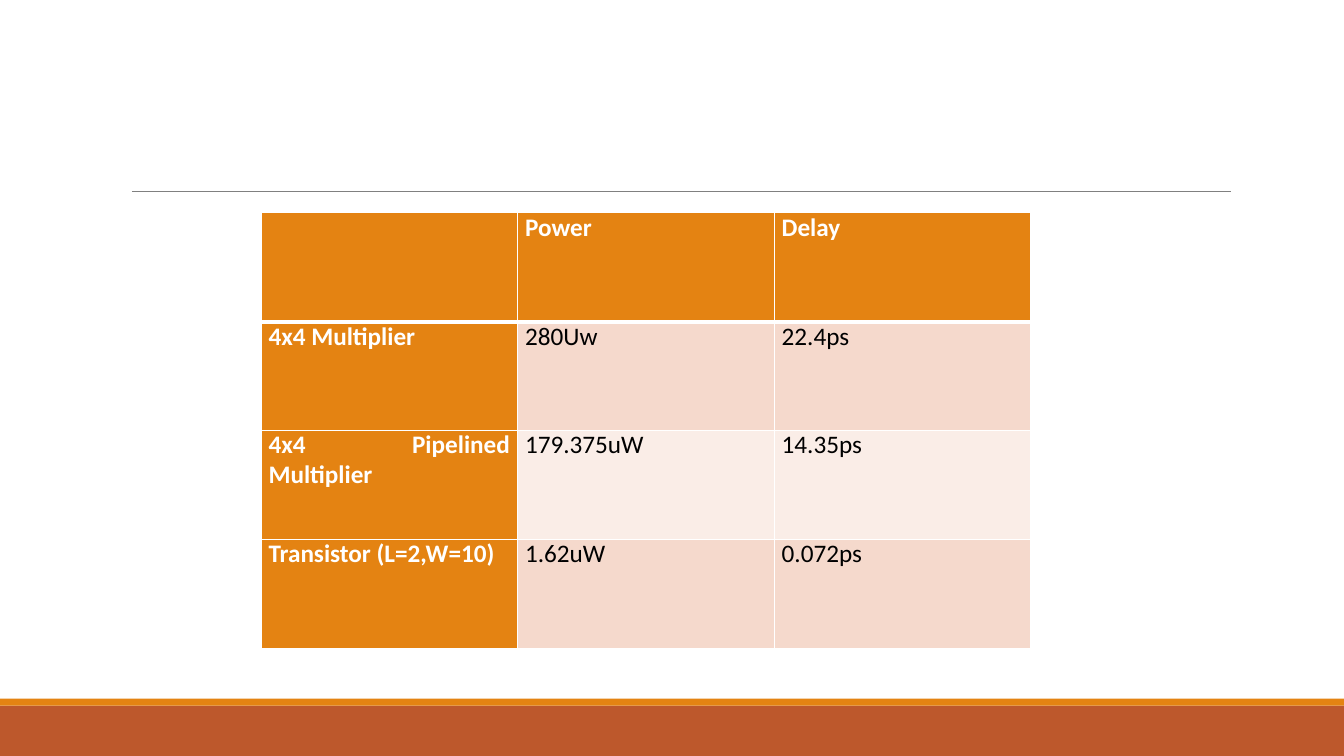
from dataclasses import dataclass

import lxml.etree
import pptx
import pptx.dml.color
import pptx.enum.shapes
import pptx.enum.text
import pptx.oxml.ns
import pptx.util

Pt = pptx.util.Pt
qn = pptx.oxml.ns.qn

COLORS = {
    "orange": "E48312",
    "rust": "BD582C",
    "rule": "808080",
    "band_dark": "F5D9CC",
    "band_light": "FAEDE7",
    "white": "FFFFFF",
    "black": "000000",
}
SLIDE_W, SLIDE_H = 960, 540
ROWS = [
    ["", "Power", "Delay"],
    ["4x4 Multiplier", "280Uw", "22.4ps"],
    ["4x4 Pipelined Multiplier", "179.375uW", "14.35ps"],
    ["Transistor (L=2,W=10)", "1.62uW", "0.072ps"],
]
COL_W, ROW_H = 183.3, 77.76


@dataclass
class Bar:
    top: float
    height: float
    color: str


FOOTER_BARS = [Bar(504, 36, "rust"), Bar(499, 5, "orange")]


def rgb(name: str) -> pptx.dml.color.RGBColor:
    return pptx.dml.color.RGBColor.from_string(COLORS[name])


def add_bar(slide, bar: Bar) -> None:
    sp = slide.shapes.add_shape(
        pptx.enum.shapes.MSO_SHAPE.RECTANGLE,
        Pt(0), Pt(bar.top), Pt(SLIDE_W), Pt(bar.height))
    sp.shadow.inherit = False
    sp.fill.solid()
    sp.fill.fore_color.rgb = rgb(bar.color)
    sp.line.fill.background()


def add_title_rule(slide) -> None:
    y = Pt(137)
    line = slide.shapes.add_connector(
        pptx.enum.shapes.MSO_CONNECTOR.STRAIGHT, Pt(94.3), y, Pt(879), y)
    line.line.color.rgb = rgb("rule")
    line.line.width = Pt(0.5)
    lxml.etree.SubElement(line._element.spPr, qn("a:effectLst"))


def set_borders(cell, row: int) -> None:
    """White 1 pt grid, with a 3 pt line under the header row."""
    widths = {"L": 1, "R": 1, "T": 3 if row == 1 else 1, "B": 3 if row == 0 else 1}
    tc_pr = cell._tc.get_or_add_tcPr()
    for side, width in widths.items():
        ln = lxml.etree.SubElement(tc_pr, qn(f"a:ln{side}"), w=str(Pt(width)))
        fill = lxml.etree.SubElement(ln, qn("a:solidFill"))
        lxml.etree.SubElement(fill, qn("a:srgbClr"), val=COLORS["white"])


def format_cell(cell, text: str, row: int, col: int) -> None:
    heading = row == 0 or col == 0
    set_borders(cell, row)
    cell.fill.solid()
    band = "band_dark" if row % 2 else "band_light"
    cell.fill.fore_color.rgb = rgb("orange" if heading else band)
    cell.margin_left = cell.margin_right = Pt(5.4)
    cell.margin_top = cell.margin_bottom = Pt(0)

    p = cell.text_frame.paragraphs[0]
    p.text = text
    p.alignment = pptx.enum.text.PP_ALIGN.JUSTIFY
    p.line_spacing = 0.95
    p.space_after = Pt(14.4)
    for r in p.runs:
        r.font.name = "Calibri"
        r.font.size = Pt(18)
        r.font.bold = heading
        r.font.color.rgb = rgb("white" if heading else "black")


def add_results_table(slide) -> None:
    n_rows, n_cols = len(ROWS), len(ROWS[0])
    table = slide.shapes.add_table(
        n_rows, n_cols, Pt(186.4), Pt(152),
        Pt(n_cols * COL_W), Pt(n_rows * ROW_H)).table
    for column in table.columns:
        column.width = Pt(COL_W)
    for i, texts in enumerate(ROWS):
        table.rows[i].height = Pt(ROW_H)
        for j, text in enumerate(texts):
            format_cell(table.cell(i, j), text, i, j)


def main() -> None:
    prs = pptx.Presentation()
    prs.slide_width, prs.slide_height = Pt(SLIDE_W), Pt(SLIDE_H)
    slide = prs.slides.add_slide(prs.slide_layouts[6])
    for bar in FOOTER_BARS:
        add_bar(slide, bar)
    add_title_rule(slide)
    add_results_table(slide)
    prs.save("out.pptx")


if __name__ == "__main__":
    main()
